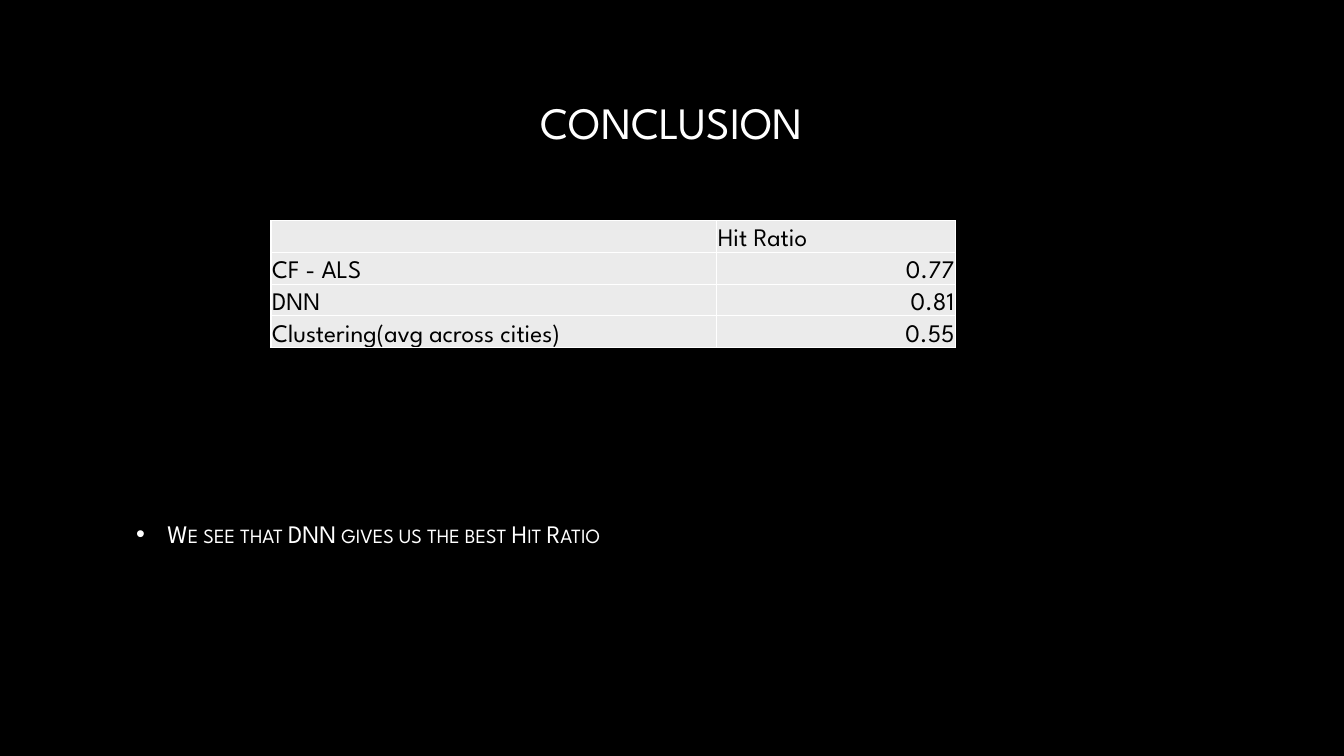
from dataclasses import dataclass

from lxml import etree
from pptx import Presentation
from pptx.dml.color import RGBColor
from pptx.enum.text import MSO_ANCHOR, PP_ALIGN
from pptx.oxml.ns import qn
from pptx.slide import Slide
from pptx.table import _Cell
from pptx.text.text import _Paragraph
from pptx.util import Cm, Pt

MIDDLE, BOTTOM = MSO_ANCHOR.MIDDLE, MSO_ANCHOR.BOTTOM
LEFT, CENTER, RIGHT = PP_ALIGN.LEFT, PP_ALIGN.CENTER, PP_ALIGN.RIGHT


@dataclass(frozen=True)
class Theme:
    font: str = "League Spartan"
    background: str = "000000"
    light_text: str = "FFFFFF"
    dark_text: str = "000000"
    cell_fill: str = "EBEBEB"
    border: str = "FFFFFF"
    title_size: int = 32
    body_size: int = 18


@dataclass(frozen=True)
class TextBlock:
    text: str
    top: float
    height: float
    size: int
    align: PP_ALIGN


@dataclass(frozen=True)
class ResultRow:
    method: str
    hit_ratio: str
    ratio_align: PP_ALIGN = RIGHT


THEME = Theme()
TEXT_LEFT, TEXT_WIDTH = 3.18, 27.5
TABLE_LEFT, TABLE_TOP = 6.83, 5.56
COLUMN_WIDTHS = (11.23, 6.02)
ROW_HEIGHT = 0.8
CELL_INSET = 0.03

TITLE = TextBlock("CONCLUSION", 1.7, 2.75, THEME.title_size, CENTER)
FINDING = TextBlock("We see that DNN gives us the best Hit Ratio",
                    9.1, 8.69, THEME.body_size, LEFT)
RESULTS = (
    ResultRow("", "Hit Ratio", LEFT),
    ResultRow("CF - ALS", "0.77"),
    ResultRow("DNN", "0.81"),
    ResultRow("Clustering(avg across cities)", "0.55"),
)


def write(para: _Paragraph, text: str, size: int, color: str, align: PP_ALIGN) -> None:
    if text:
        para.text = text
    para.alignment = align
    para.font.name = THEME.font
    para.font.size = Pt(size)
    para.font.color.rgb = RGBColor.from_string(color)


def add_text(page: Slide, block: TextBlock) -> _Paragraph:
    box = page.shapes.add_textbox(Cm(TEXT_LEFT), Cm(block.top),
                                  Cm(TEXT_WIDTH), Cm(block.height))
    frame = box.text_frame
    frame.word_wrap = True
    frame.vertical_anchor = MIDDLE
    para = frame.paragraphs[0]
    write(para, block.text, block.size, THEME.light_text, block.align)
    return para


def make_small_caps_bullet(para: _Paragraph) -> None:
    para.space_before = Pt(0.2 * THEME.body_size)
    para.space_after = Pt(6)
    properties = para._p.get_or_add_pPr()
    properties.set("marL", str(Cm(0.79)))
    properties.set("indent", str(-Cm(0.79)))
    defaults = properties.find(qn("a:defRPr"))
    defaults.set("cap", "small")
    for tag, name, value in (("a:buFont", "typeface", "Arial"),
                             ("a:buChar", "char", "•")):
        bullet = etree.Element(qn(tag))
        bullet.set(name, value)
        defaults.addprevious(bullet)


def add_borders(cell: _Cell) -> None:
    properties = cell._tc.get_or_add_tcPr()
    for position, side in enumerate(("a:lnL", "a:lnR", "a:lnT", "a:lnB")):
        line = etree.Element(qn(side), w=str(Pt(1)))
        fill = etree.SubElement(line, qn("a:solidFill"))
        etree.SubElement(fill, qn("a:srgbClr"), val=THEME.border)
        properties.insert(position, line)


def fill_cell(cell: _Cell, text: str, align: PP_ALIGN) -> None:
    cell.fill.solid()
    cell.fill.fore_color.rgb = RGBColor.from_string(THEME.cell_fill)
    cell.margin_left = cell.margin_right = cell.margin_top = Cm(CELL_INSET)
    cell.margin_bottom = 0
    cell.vertical_anchor = BOTTOM
    write(cell.text_frame.paragraphs[0], text, THEME.body_size, THEME.dark_text, align)
    add_borders(cell)


def add_results(page: Slide) -> None:
    table = page.shapes.add_table(
        len(RESULTS), len(COLUMN_WIDTHS), Cm(TABLE_LEFT), Cm(TABLE_TOP),
        Cm(sum(COLUMN_WIDTHS)), Cm(ROW_HEIGHT * len(RESULTS))).table
    table.first_row = table.horz_banding = False
    for column, width in zip(table.columns, COLUMN_WIDTHS):
        column.width = Cm(width)
    for index, result in enumerate(RESULTS):
        table.rows[index].height = Cm(ROW_HEIGHT)
        fill_cell(table.cell(index, 0), result.method, LEFT)
        fill_cell(table.cell(index, 1), result.hit_ratio, result.ratio_align)


def main() -> None:
    deck = Presentation()
    deck.slide_width, deck.slide_height = Cm(33.87), Cm(19.05)
    page = deck.slides.add_slide(deck.slide_layouts[6])
    page.background.fill.solid()
    page.background.fill.fore_color.rgb = RGBColor.from_string(THEME.background)
    add_text(page, TITLE)
    add_results(page)
    make_small_caps_bullet(add_text(page, FINDING))
    deck.save("out.pptx")


if __name__ == "__main__":
    main()
